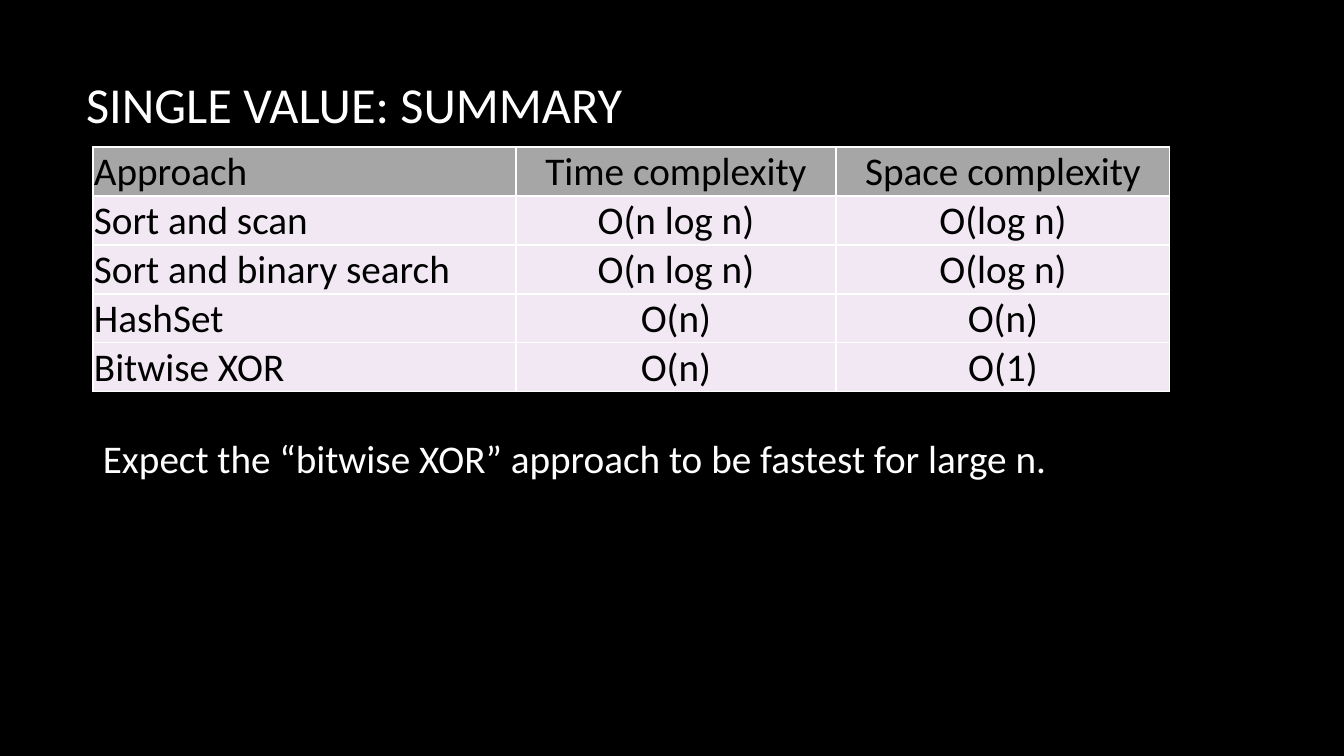
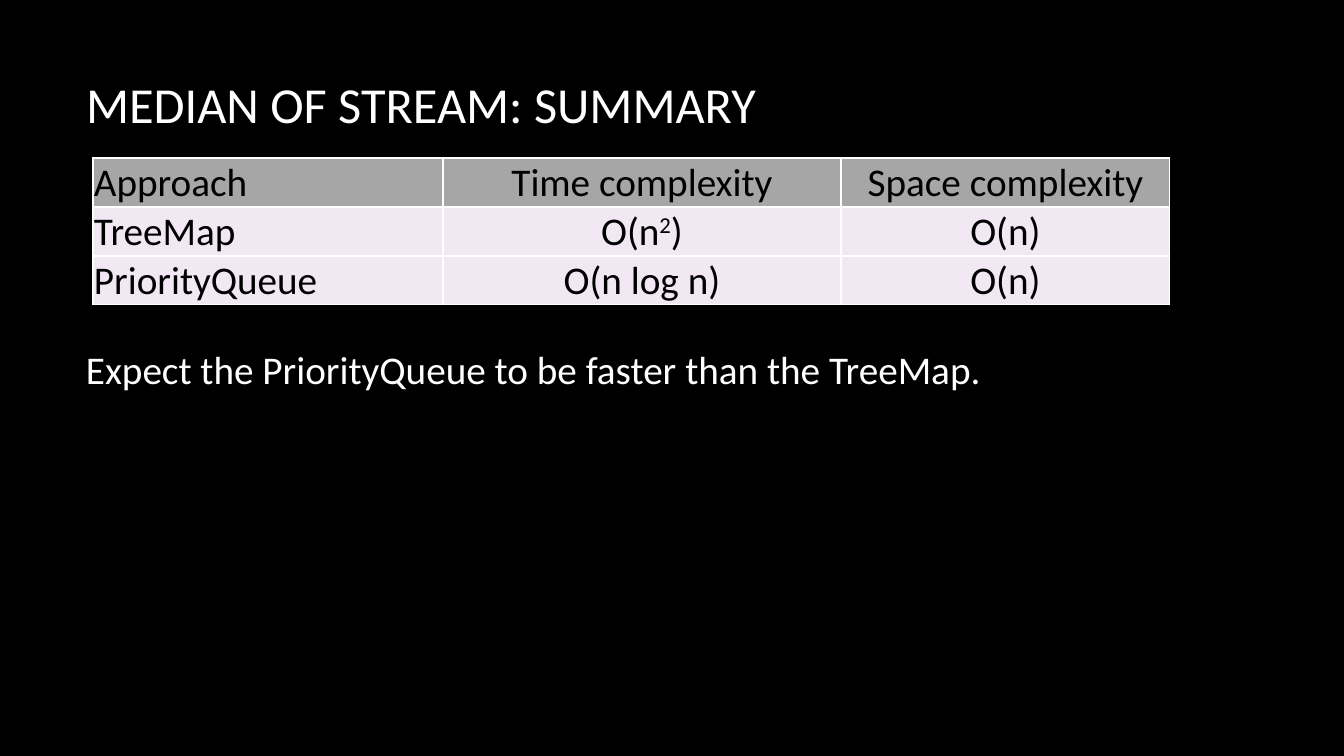
from dataclasses import dataclass

from lxml import etree
from pptx import Presentation
from pptx.dml.color import RGBColor
from pptx.enum.text import MSO_ANCHOR, MSO_AUTO_SIZE, PP_ALIGN
from pptx.oxml.ns import qn
from pptx.slide import Slide
from pptx.table import _Cell
from pptx.text.text import TextFrame, _Paragraph
from pptx.util import Emu, Pt

LEFT, CENTER = PP_ALIGN.LEFT, PP_ALIGN.CENTER
TOP, BOTTOM = MSO_ANCHOR.TOP, MSO_ANCHOR.BOTTOM
NO_FIT = MSO_AUTO_SIZE.NONE

BLACK = RGBColor(0x00, 0x00, 0x00)
WHITE = RGBColor(0xFF, 0xFF, 0xFF)
GRAY = RGBColor(0xA6, 0xA6, 0xA6)
LILAC = RGBColor(0xF1, 0xE8, 0xF4)

FONT = "Calibri"
TITLE_SIZE, TEXT_SIZE = 36, 28
WIDE, HIGH = 1344, 756
SCALE = 12192000 / WIDE
TITLE_ONLY = 5
TABLE_LEFT, ROW_HIGH = 93, 49
HEAD = ("Approach", "Time complexity", "Space complexity")


@dataclass(frozen=True)
class Box:
    left: int
    top: int
    width: int
    height: int


@dataclass(frozen=True)
class Page:
    title: str
    note: str
    note_box: Box
    table_top: int
    cols: tuple[int, ...]
    rows: tuple[tuple[str, ...], ...]


TITLE_BOX = Box(76, 68, 1117, 160)
PAGES = (
    Page(
        "SINGLE VALUE: SUMMARY",
        "Expect the “bitwise XOR” approach to be fastest for large n.",
        Box(93, 429, 1159, 146),
        147,
        (423, 320, 334),
        (
            ("Sort and scan", "O(n log n)", "O(log n)"),
            ("Sort and binary search", "O(n log n)", "O(log n)"),
            ("HashSet", "O(n)", "O(n)"),
            ("Bitwise XOR", "O(n)", "O(1)"),
        ),
    ),
    Page(
        "MEDIAN OF STREAM: SUMMARY",
        "Expect the PriorityQueue to be faster than the TreeMap.",
        Box(76, 340, 1159, 258),
        158,
        (350, 398, 329),
        (
            ("TreeMap", "O(n^2^)", "O(n)"),
            ("PriorityQueue", "O(n log n)", "O(n)"),
        ),
    ),
)


def px(count: int) -> Emu:
    return Emu(round(count * SCALE))


def place(box: Box) -> tuple[Emu, ...]:
    return px(box.left), px(box.top), px(box.width), px(box.height)


def add_text(para: _Paragraph, text: str, size: int, color: RGBColor) -> None:
    """Add text to a paragraph; parts between carets are superscript."""
    for index, part in enumerate(text.split("^")):
        run = para.add_run()
        run.text = part
        font = run.font
        font.name, font.size, font.bold = FONT, Pt(size), False
        font.color.rgb = color
        if index % 2:
            run._r.get_or_add_rPr().set("baseline", "30000")


def fill_frame(frame: TextFrame, text: str, size: int) -> _Paragraph:
    frame.word_wrap = True
    frame.auto_size = NO_FIT
    frame.vertical_anchor = TOP
    para = frame.paragraphs[0]
    para.alignment = LEFT
    add_text(para, text, size, WHITE)
    return para


def add_title(slide: Slide, text: str) -> None:
    title = slide.shapes.title
    title.left, title.top, title.width, title.height = place(TITLE_BOX)
    fill_frame(title.text_frame, text, TITLE_SIZE)


def add_note(slide: Slide, text: str, box: Box) -> None:
    note = slide.shapes.add_textbox(*place(box))
    fill_frame(note.text_frame, text, TEXT_SIZE).space_after = Pt(10)


def add_edges(cell: _Cell) -> None:
    props = cell._tc.get_or_add_tcPr()
    for side in ("a:lnL", "a:lnR", "a:lnT", "a:lnB"):
        line = etree.SubElement(props, qn(side), w=str(Pt(1)))
        fill = etree.SubElement(line, qn("a:solidFill"))
        etree.SubElement(fill, qn("a:srgbClr"), val=str(WHITE))


def fill_cell(cell: _Cell, text: str, color: RGBColor, align: PP_ALIGN) -> None:
    add_edges(cell)
    cell.fill.solid()
    cell.fill.fore_color.rgb = color
    cell.margin_left = cell.margin_right = cell.margin_top = px(1)
    cell.margin_bottom = 0
    cell.vertical_anchor = BOTTOM
    para = cell.text_frame.paragraphs[0]
    para.alignment = align
    add_text(para, text, TEXT_SIZE, BLACK)


def add_grid(slide: Slide, page: Page) -> None:
    rows = (HEAD, *page.rows)
    box = Box(TABLE_LEFT, page.table_top, sum(page.cols), ROW_HIGH * len(rows))
    table = slide.shapes.add_table(len(rows), len(HEAD), *place(box)).table
    table.first_row = table.horz_banding = False
    for col, width in zip(table.columns, page.cols):
        col.width = px(width)
    for y, row in enumerate(rows):
        table.rows[y].height = px(ROW_HIGH)
        for x, text in enumerate(row):
            color = LILAC if y else GRAY
            align = CENTER if x else LEFT
            fill_cell(table.cell(y, x), text, color, align)


def main() -> None:
    deck = Presentation()
    deck.slide_width, deck.slide_height = px(WIDE), px(HIGH)
    back = deck.slide_master.background.fill
    back.solid()
    back.fore_color.rgb = BLACK
    for page in PAGES:
        slide = deck.slides.add_slide(deck.slide_layouts[TITLE_ONLY])
        add_title(slide, page.title)
        add_note(slide, page.note, page.note_box)
        add_grid(slide, page)
    deck.save("out.pptx")


if __name__ == "__main__":
    main()
